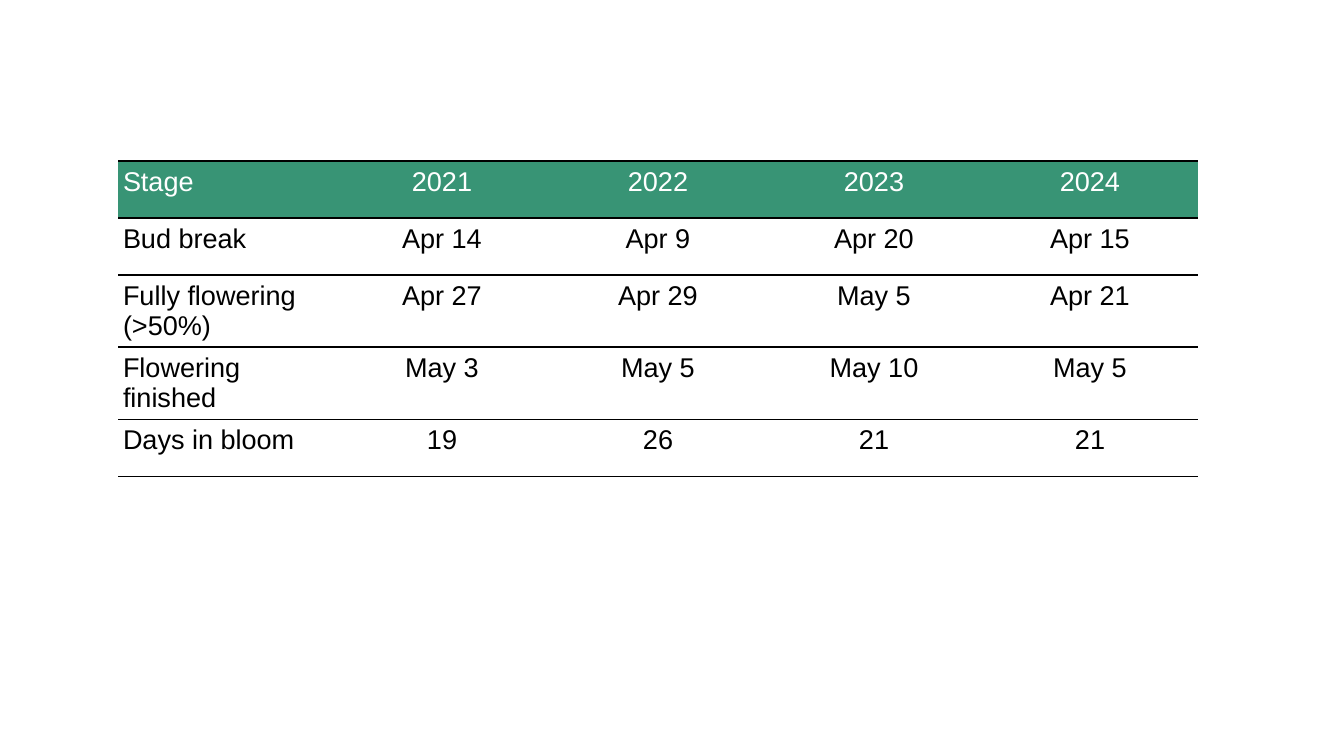
from dataclasses import dataclass

from lxml import etree
from pptx import Presentation
from pptx.dml.color import RGBColor
from pptx.enum.text import PP_ALIGN
from pptx.oxml.ns import qn
from pptx.util import Pt

LEFT, CENTER = PP_ALIGN.LEFT, PP_ALIGN.CENTER

# Content
STAGES = [
    ("Stage", "2021", "2022", "2023", "2024"),
    ("Bud break", "Apr 14", "Apr 9", "Apr 20", "Apr 15"),
    ("Fully flowering (>50%)", "Apr 27", "Apr 29", "May 5", "Apr 21"),
    ("Flowering finished", "May 3", "May 5", "May 10", "May 5"),
    ("Days in bloom", "19", "26", "21", "21"),
]


@dataclass(frozen=True)
class Theme:
    font: str = "Arial"
    size: int = 16
    rule: float = 0.85
    header: str = "389475"
    light: str = "FFFFFF"
    dark: str = "000000"


THEME = Theme()

# Layout in px, 122 to the inch
SLIDE_W, SLIDE_H = 1344, 756
TABLE_X, TABLE_Y = 118, 161
COL_W, ROW_H = 216, 57
PAD_X, PAD_Y = 5, 6


def px(n):
    return round(n * 914400 / 122)


def write(cell, text, color, align):
    cell.margin_left = cell.margin_right = px(PAD_X)
    cell.margin_top = cell.margin_bottom = px(PAD_Y)
    p = cell.text_frame.paragraphs[0]
    p.alignment = align
    r = p.add_run()
    r.text = text
    r.font.name, r.font.size, r.font.bold = THEME.font, Pt(THEME.size), False
    r.font.color.rgb = RGBColor.from_string(color)


def rule_cell(cell):
    """Rules above and below, none at the sides; borders precede the fill."""
    tc_pr = cell._tc.get_or_add_tcPr()
    for i, side in enumerate(("lnL", "lnR", "lnT", "lnB")):
        ln = etree.Element(qn(f"a:{side}"), w=str(Pt(THEME.rule)))
        if side in ("lnL", "lnR"):
            etree.SubElement(ln, qn("a:noFill"))
        else:
            fill = etree.SubElement(ln, qn("a:solidFill"))
            etree.SubElement(fill, qn("a:srgbClr"), val=THEME.dark)
        tc_pr.insert(i, ln)


def main():
    prs = Presentation()
    prs.slide_width, prs.slide_height = px(SLIDE_W), px(SLIDE_H)
    s = prs.slides.add_slide(prs.slide_layouts[6])

    # Table of flowering dates
    rows, cols = len(STAGES), len(STAGES[0])
    table = s.shapes.add_table(rows, cols, px(TABLE_X), px(TABLE_Y),
                               px(cols * COL_W), px(rows * ROW_H)).table
    table.horz_banding = False
    for col in table.columns:
        col.width = px(COL_W)
    for r, values in enumerate(STAGES):
        table.rows[r].height = px(ROW_H)
        for c, text in enumerate(values):
            cell = table.cell(r, c)
            write(cell, text, THEME.dark if r else THEME.light,
                  CENTER if c else LEFT)
            if r:
                cell.fill.background()
            else:
                cell.fill.solid()
                cell.fill.fore_color.rgb = RGBColor.from_string(THEME.header)
            rule_cell(cell)

    prs.save("out.pptx")


if __name__ == "__main__":
    main()
